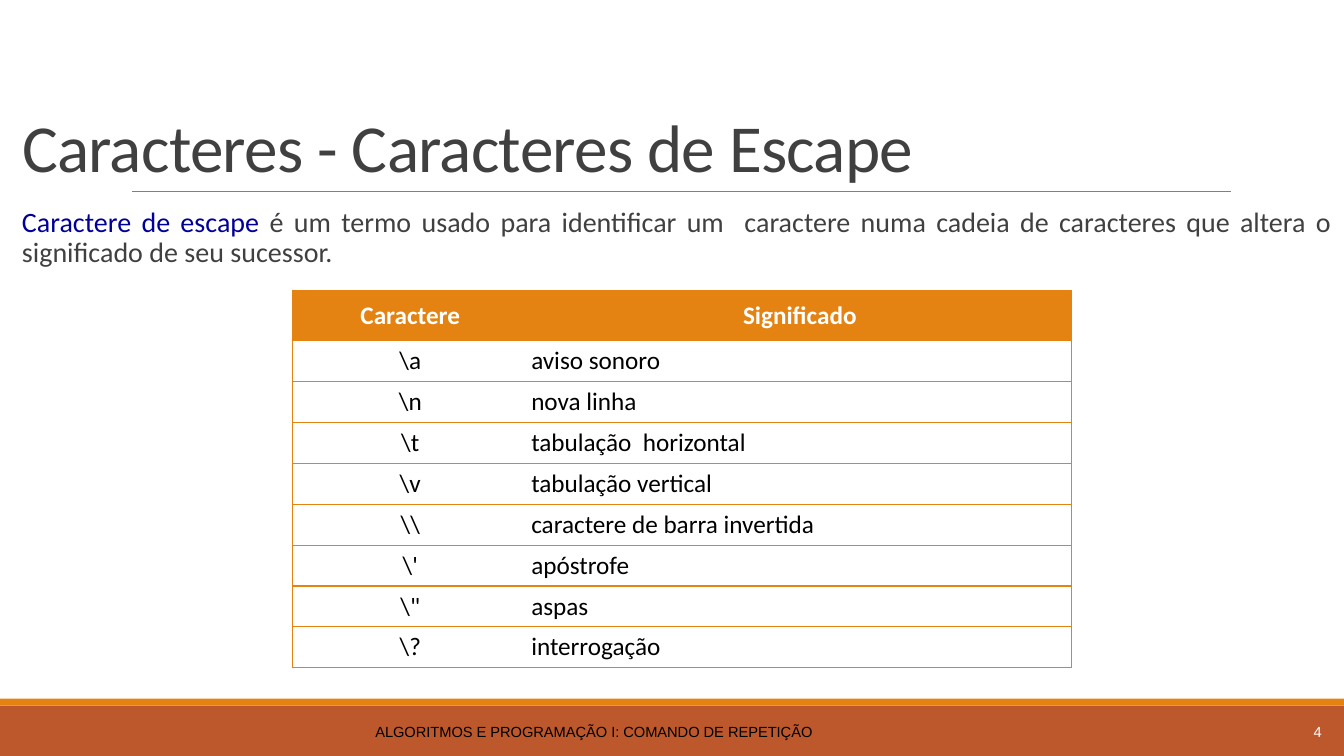
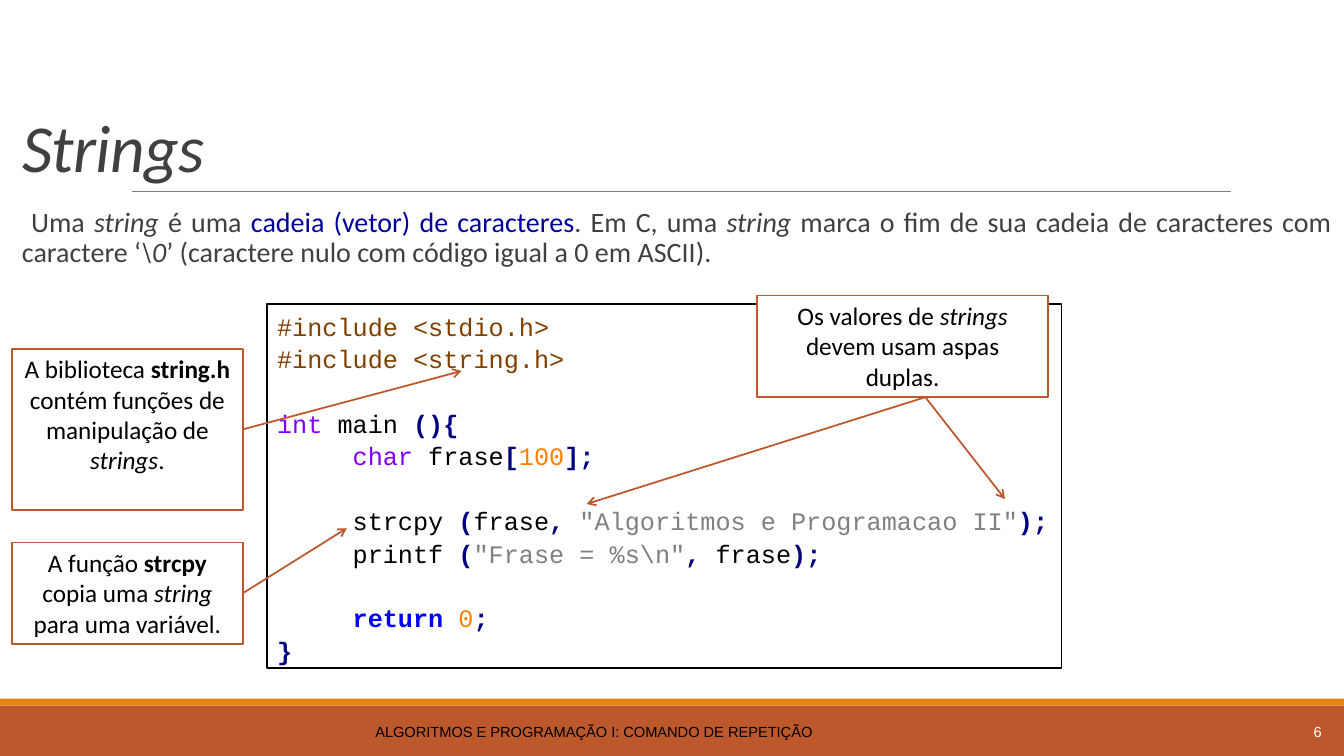
"""Build two lecture slides about escape characters and strings in C."""
from lxml.etree import SubElement
from pptx import Presentation
from pptx.dml.color import RGBColor
from pptx.enum.shapes import MSO_CONNECTOR, MSO_SHAPE
from pptx.enum.text import MSO_ANCHOR, MSO_AUTO_SIZE, PP_ALIGN
from pptx.oxml.ns import qn
from pptx.util import Pt

COLORS = {
    "white": "FFFFFF",
    "black": "000000",
    "rust": "BD582C",
    "orange": "E48312",
    "rule": "808080",
    "text": "404040",
    "term": "000099",
    "include": "804000",
    "type": "8000FF",
    "symbol": "000080",
    "number": "FF8000",
    "quoted": "808080",
    "keyword": "0000FF",
}


def add_runs(paragraph, pieces, font_name, size):
    """Add (text, color, style) pieces; style holds b for bold, i for italic."""
    for text, color, style in pieces:
        run = paragraph.add_run()
        run.text = text
        run.font.name = font_name
        run.font.size = Pt(size)
        run.font.bold = "b" in style
        run.font.italic = "i" in style
        run.font.color.rgb = RGBColor.from_string(COLORS[color])


def add_line(slide, start, end, color, width):
    """Add a straight connector without a shadow."""
    points = [Pt(value) for value in (*start, *end)]
    connector = slide.shapes.add_connector(MSO_CONNECTOR.STRAIGHT, *points)
    connector.line.color.rgb = RGBColor.from_string(COLORS[color])
    connector.line.width = Pt(width)
    SubElement(connector.element.spPr, qn("a:effectLst"))
    return connector


presentation = Presentation()
presentation.slide_width = Pt(960)
presentation.slide_height = Pt(540)
layout = presentation.slide_layouts[5]

pages = [
    (
        "Caracteres - Caracteres de Escape", "", "4",
        [
            ("Caractere de escape ", "term", ""),
            ("é um termo usado para identificar um  caractere numa cadeia de "
             "caracteres que altera o significado de seu sucessor.", "text", ""),
        ],
    ),
    (
        "Strings", "i", "6",
        [
            (" Uma ", "text", ""),
            ("string", "text", "i"),
            (" é uma ", "text", ""),
            ("cadeia (vetor) de caracteres", "term", ""),
            (". Em C, uma ", "text", ""),
            ("string", "text", "i"),
            (" marca o fim de sua cadeia de caracteres com caractere ‘", "text", ""),
            ("\\0", "text", "i"),
            ("’ (caractere nulo com código igual a 0 em ASCII).", "text", ""),
        ],
    ),
]

slides = []
for title_text, title_style, number, body_pieces in pages:
    slide = presentation.slides.add_slide(layout)
    slides.append(slide)

    title = slide.shapes.title
    title.left, title.top, title.width, title.height = Pt(8.6), Pt(22.3), Pt(943.2), Pt(114.5)
    title.text_frame.auto_size = MSO_AUTO_SIZE.NONE
    title.text_frame.vertical_anchor = MSO_ANCHOR.BOTTOM
    paragraph = title.text_frame.paragraphs[0]
    paragraph.alignment = PP_ALIGN.LEFT
    paragraph.line_spacing = 0.85
    add_runs(paragraph, [(title_text, "text", title_style)], "Calibri", 48)
    paragraph.runs[0].font._element.set("spc", "-50")

    body = slide.shapes.add_textbox(Pt(8.6), Pt(145.4), Pt(942.5), Pt(52))
    body.text_frame.word_wrap = True
    body.text_frame.margin_left = Pt(7.2)
    body.text_frame.margin_right = 0
    paragraph = body.text_frame.paragraphs[0]
    paragraph.alignment = PP_ALIGN.JUSTIFY
    paragraph.line_spacing = 0.9
    add_runs(paragraph, body_pieces, "Calibri", 20)

    page_number = slide.shapes.add_textbox(Pt(848.2), Pt(508.3), Pt(103), Pt(28.8))
    page_number.text_frame.word_wrap = True
    page_number.text_frame.vertical_anchor = MSO_ANCHOR.MIDDLE
    paragraph = page_number.text_frame.paragraphs[0]
    paragraph.alignment = PP_ALIGN.RIGHT
    add_runs(paragraph, [(number, "white", "")], "Arial", 10.5)

escape_slide, string_slide = slides

layout_shapes = []
for top, height, color in [(504, 36, "rust"), (499, 5, "orange")]:
    band = escape_slide.shapes.add_shape(MSO_SHAPE.RECTANGLE, 0, Pt(top), Pt(960), Pt(height))
    band.shadow.inherit = False
    band.fill.solid()
    band.fill.fore_color.rgb = RGBColor.from_string(COLORS[color])
    band.line.fill.background()
    layout_shapes.append(band)

layout_shapes.append(add_line(escape_slide, (94.3, 136.8), (879.1, 136.8), "rule", 0.5))

footer = escape_slide.shapes.add_textbox(Pt(8.6), Pt(508.3), Pt(831.6), Pt(28.8))
footer.text_frame.word_wrap = True
footer.text_frame.vertical_anchor = MSO_ANCHOR.MIDDLE
paragraph = footer.text_frame.paragraphs[0]
paragraph.alignment = PP_ALIGN.CENTER
add_runs(paragraph, [("ALGORITMOS E PROGRAMAÇÃO I: COMANDO DE REPETIÇÃO", "black", "")], "Arial", 10.5)
layout_shapes.append(footer)

for shape in layout_shapes:
    layout.shapes.element.append(shape.element)

escape_rows = [
    ("Caractere", "Significado"),
    ("\\a", "aviso sonoro"),
    ("\\n", "nova linha"),
    ("\\t", "tabulação  horizontal"),
    ("\\v", "tabulação vertical"),
    ("\\\\", "caractere de barra invertida"),
    ("\\'", "apóstrofe"),
    ('\\"', "aspas"),
    ("\\?", "interrogação"),
]
table = escape_slide.shapes.add_table(
    len(escape_rows), 2, Pt(208.8), Pt(207.4), Pt(556.6), Pt(269.6)
).table
table.horz_banding = False
table.columns[0].width = Pt(168.5)
table.columns[1].width = Pt(388.1)
for row_index, row_texts in enumerate(escape_rows):
    is_header = row_index == 0
    table.rows[row_index].height = Pt(36 if is_header else 29.2)
    for column_index, text in enumerate(row_texts):
        cell = table.cell(row_index, column_index)
        cell.vertical_anchor = MSO_ANCHOR.MIDDLE
        cell.margin_left = cell.margin_right = Pt(2.2)
        cell.margin_top = cell.margin_bottom = Pt(2.2)
        inner_side = "lnR" if column_index == 0 else "lnL"
        properties = cell._tc.get_or_add_tcPr()
        for side in ("lnL", "lnR", "lnT", "lnB"):
            border = SubElement(properties, qn(f"a:{side}"), w=str(Pt(1)))
            if side == inner_side:
                SubElement(border, qn("a:noFill"))
            else:
                border_fill = SubElement(border, qn("a:solidFill"))
                SubElement(border_fill, qn("a:srgbClr"), val=COLORS["orange"])
        cell.fill.solid()
        cell.fill.fore_color.rgb = RGBColor.from_string(COLORS["orange" if is_header else "white"])
        paragraph = cell.text_frame.paragraphs[0]
        paragraph.alignment = PP_ALIGN.CENTER if is_header or column_index == 0 else PP_ALIGN.LEFT
        piece = (text, "white", "b") if is_header else (text, "black", "")
        add_runs(paragraph, [piece], "Calibri", 18)

boxes = []
for left, top, width, height, line_color, pieces in [
    (190.8, 217.4, 567.4, 259.9, "black", []),
    (8.6, 249.1, 164.9, 115.2, "rust", [
        ("A biblioteca ", "black", ""),
        ("string.h", "black", "b"),
        (" contém funções de manipulação de ", "black", ""),
        ("strings", "black", "i"),
        (".", "black", ""),
    ]),
    (8.6, 387.4, 164.9, 72.7, "rust", [
        ("A função ", "black", ""),
        ("strcpy", "black", "b"),
        (" copia uma ", "black", ""),
        ("string", "black", "i"),
        (" para uma variável.", "black", ""),
    ]),
    (540.7, 211, 208.1, 72.7, "rust", [
        ("Os valores de ", "black", ""),
        ("strings", "black", "i"),
        (" devem usam aspas duplas.", "black", ""),
    ]),
]:
    box = string_slide.shapes.add_shape(
        MSO_SHAPE.RECTANGLE, Pt(left), Pt(top), Pt(width), Pt(height)
    )
    box.shadow.inherit = False
    box.fill.solid()
    box.fill.fore_color.rgb = RGBColor.from_string(COLORS["white"])
    box.line.color.rgb = RGBColor.from_string(COLORS[line_color])
    box.line.width = Pt(1.25)
    box.text_frame.word_wrap = True
    box.text_frame.vertical_anchor = MSO_ANCHOR.TOP
    paragraph = box.text_frame.paragraphs[0]
    paragraph.alignment = PP_ALIGN.CENTER
    add_runs(paragraph, pieces, "Calibri", 18)
    boxes.append(box)

code_box, library_box, function_box, quotes_box = boxes

line_height = 23.1
code_lines = [
    (0, 0, [("#include <stdio.h>", "include", "")]),
    (0, 0, [("#include <string.h>", "include", "")]),
    (1, 0, [("int ", "type", ""), ("main ", "black", ""), ("(){", "symbol", "b")]),
    (0, 5, [("char", "type", ""), (" frase", "black", ""), ("[", "symbol", "b"),
            ("100", "number", ""), ("];", "symbol", "b")]),
    (1, 5, [("strcpy ", "black", ""), ("(", "symbol", "b"), ("frase", "black", ""),
            (", ", "symbol", "b"), ('"Algoritmos e Programacao II"', "quoted", ""),
            (");", "symbol", "b")]),
    (0, 5, [("printf ", "black", ""), ("(", "symbol", "b"), ('"Frase = %s\\n"', "quoted", ""),
            (",", "symbol", "b"), (" frase", "black", ""), (");", "symbol", "b")]),
    (1, 5, [("return ", "keyword", "b"), ("0", "number", ""), (";", "symbol", "b")]),
    (0, 0, [("}", "symbol", "b")]),
]
code_frame = code_box.text_frame
for line_index, (lines_above, indent, pieces) in enumerate(code_lines):
    paragraph = code_frame.add_paragraph() if line_index else code_frame.paragraphs[0]
    paragraph.alignment = PP_ALIGN.LEFT
    paragraph.line_spacing = Pt(line_height)
    paragraph.space_before = Pt(lines_above * line_height)
    paragraph._p.get_or_add_pPr().set("marL", str(Pt(indent * 10.8)))
    add_runs(paragraph, pieces, "Courier New", 18)

for start, end, source_box in [
    ((173.5, 306.7), (329.8, 265), library_box),
    ((173.5, 423.7), (247.7, 377.3), function_box),
    ((661, 283.7), (717.8, 356.4), None),
    ((661, 283.7), (419, 360), None),
]:
    arrow = add_line(string_slide, start, end, "rust", 1.25)
    SubElement(arrow.line._get_or_add_ln(), qn("a:tailEnd"), type="arrow")
    if source_box is not None:
        arrow.begin_connect(source_box, 3)

presentation.save("out.pptx")
